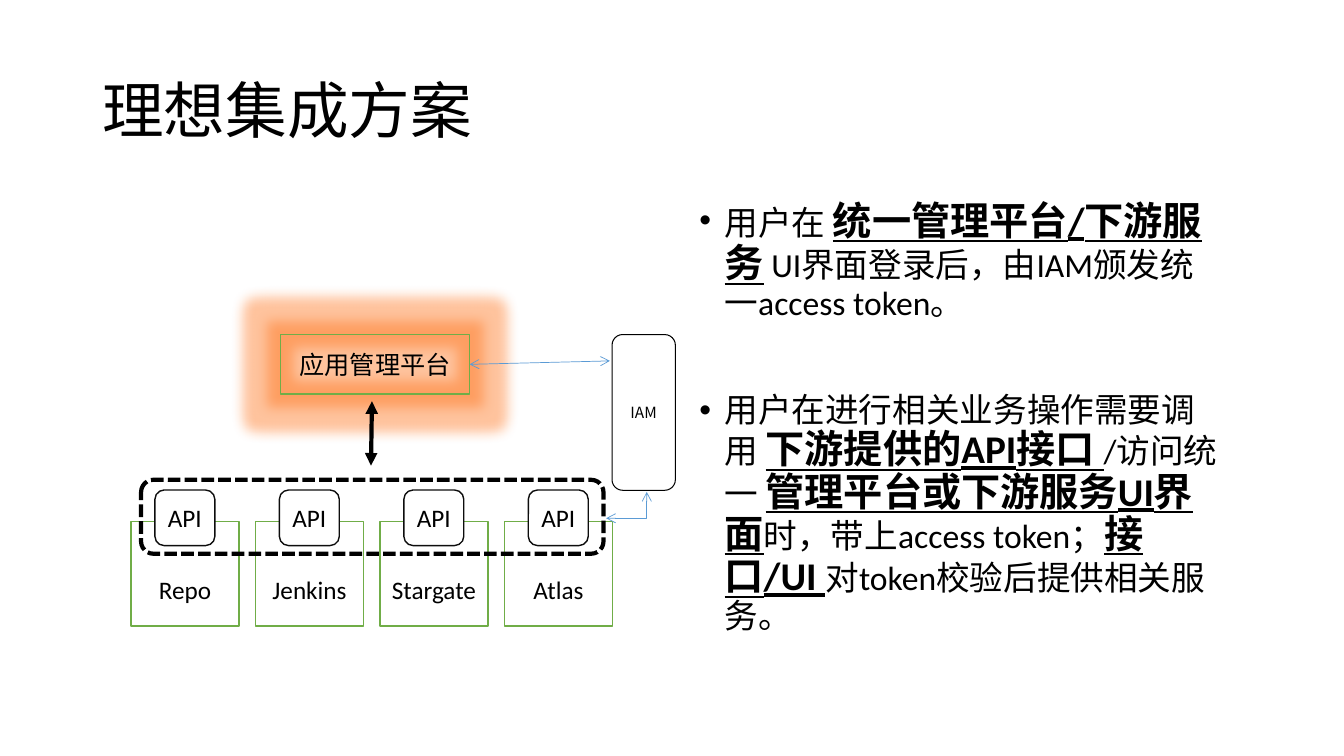
from lxml import etree
from pptx import Presentation
from pptx.dml.color import RGBColor
from pptx.enum import dml, shapes, text
from pptx.oxml import ns
from pptx.util import Pt

# Content
TITLE = "理想集成方案"
# Each bullet is a list of (text, emphasised)
BULLETS = [
    [("用户在 ", False), ("统一管理平台/下游服务", True), (" ", False),
     ("UI界面登录后，由IAM颁发统一access token。", False)],
    [("用户在进行相关业务操作需要调用 ", False), ("下游提供的API接口 ", True),
     ("/访问统一 ", False), ("管理平台或下游服务UI界面", True),
     ("时，带上access token；", False), ("接口/UI ", True),
     ("对token校验后提供相关服务。", False)],
]
SERVICES = ["Repo", "Jenkins", "Stargate", "Atlas"]
PLATFORM = "应用管理平台"

# Style
BLACK = RGBColor(0x00, 0x00, 0x00)
NEAR_BLACK = RGBColor(0x0D, 0x0D, 0x0D)
WHITE = RGBColor(0xFF, 0xFF, 0xFF)
GREEN = RGBColor(0x70, 0xAD, 0x47)
BLUE = RGBColor(0x5B, 0x9B, 0xD5)
GLOW = RGBColor(0xFF, 0x69, 0x0A)
LATIN, CJK = "Calibri", "Noto Sans CJK SC"
RECT = shapes.MSO_SHAPE.RECTANGLE
ROUND = shapes.MSO_SHAPE.ROUNDED_RECTANGLE

# Layout in points
SERVICE_LEFT, SERVICE_TOP, SERVICE_W, SERVICE_H = 93.6, 372.4, 77.2, 74.8
SERVICE_PITCH = 88.9
SERVICE_LABEL_DROP = 22
API_INDENT, API_TOP, API_W, API_H = 17.1, 350, 42.8, 39.7
BULLET_INDENT = 18
BULLET_GAP = 50.8

prs = Presentation()
prs.slide_width, prs.slide_height = Pt(960), Pt(540)
slide = prs.slides.add_slide(prs.slide_layouts[6])


def sub(parent, tag, **attrs):
    return etree.SubElement(parent, ns.qn(tag), attrs)


def add_run(paragraph, words, size, bold=False, font=LATIN):
    run = paragraph.add_run()
    run.text = words
    run.font.size, run.font.name = Pt(size), font
    run.font.bold = run.font.underline = bold
    run.font.color.rgb = BLACK
    sub(run.font._element, "a:ea", typeface=CJK)


def add_text_area(left, top, width, height, anchor):
    frame = slide.shapes.add_textbox(Pt(left), Pt(top), Pt(width), Pt(height)).text_frame
    frame.word_wrap = True
    frame.vertical_anchor = anchor
    return frame


def add_box(kind, left, top, width, height, line, weight, fill=None,
            label="", size=18, font=LATIN):
    box = slide.shapes.add_shape(kind, Pt(left), Pt(top), Pt(width), Pt(height))
    box.shadow.inherit = False
    if fill is None:
        box.fill.background()
    else:
        box.fill.solid()
        box.fill.fore_color.rgb = fill
    box.line.color.rgb = line
    box.line.width = Pt(weight)
    if label:
        box.text_frame.vertical_anchor = text.MSO_ANCHOR.MIDDLE
        paragraph = box.text_frame.paragraphs[0]
        paragraph.alignment = text.PP_ALIGN.CENTER
        add_run(paragraph, label, size, font=font)
    return box


def add_two_way(kind, start, end, color, weight, arrow):
    link = slide.shapes.add_connector(kind, *(Pt(v) for v in start + end))
    link.line.color.rgb = color
    link.line.width = Pt(weight)
    outline = link.line._get_or_add_ln()
    for side in ("a:headEnd", "a:tailEnd"):
        sub(outline, side, type=arrow)
    sub(link._element.spPr, "a:effectLst")
    return link


# Title
title = add_text_area(66, 28.8, 828, 104.4, text.MSO_ANCHOR.MIDDLE).paragraphs[0]
title.line_spacing = 0.9
add_run(title, TITLE, 44)

# Bullets
body = add_text_area(492.5, 140.4, 386, 347, text.MSO_ANCHOR.TOP)
for i, parts in enumerate(BULLETS):
    paragraph = body.add_paragraph() if i else body.paragraphs[0]
    paragraph.line_spacing = 0.9
    paragraph.space_before = Pt(BULLET_GAP if i else 0)
    props = paragraph._p.get_or_add_pPr()
    props.set("marL", str(Pt(BULLET_INDENT)))
    props.set("indent", str(-Pt(BULLET_INDENT)))
    sub(props, "a:buFont", typeface="Arial")
    sub(props, "a:buChar", char="•")
    for words, strong in parts:
        add_run(paragraph, words, 28 if strong else 24, strong)

# Downstream services, each with its API on the top edge
for i, service in enumerate(SERVICES):
    left = SERVICE_LEFT + i * SERVICE_PITCH
    module = add_box(RECT, left, SERVICE_TOP, SERVICE_W, SERVICE_H, GREEN, 1, WHITE, service)
    module.text_frame.margin_top = Pt(3.6 + SERVICE_LABEL_DROP)
    add_box(ROUND, left + API_INDENT, API_TOP, API_W, API_H, NEAR_BLACK, 1, WHITE, "API")

# Management platform with its glow
platform = add_box(RECT, 200.2, 238.9, 135.3, 42.7, GREEN, 1, label=PLATFORM)
effects = platform._element.spPr.find(ns.qn("a:effectLst"))
glow = sub(effects, "a:glow", rad=str(Pt(18)))
sub(sub(glow, "a:srgbClr", val=str(GLOW)), "a:alpha", val="40000")

# IAM and the dashed frame around the APIs
add_box(ROUND, 437.2, 239, 45.2, 111.2, BLACK, 0.75, label="IAM", size=11, font=CJK)
api_frame = add_box(ROUND, 100.8, 342.7, 330.3, 52.8, BLACK, 3)
api_frame.line.dash_style = dml.MSO_LINE.SQUARE_DOT

# Two-way links
STRAIGHT, ELBOW = shapes.MSO_CONNECTOR.STRAIGHT, shapes.MSO_CONNECTOR.ELBOW
add_two_way(STRAIGHT, (265.7, 286.6), (265, 332.6), BLACK, 3, "triangle")
api_to_iam = add_two_way(ELBOW, (433, 370.2), (462, 351.4), BLUE, 0.5, "arrow")
api_to_iam._element.spPr.find(ns.qn("a:prstGeom")).set("prst", "bentConnector2")
platform_to_iam = add_two_way(STRAIGHT, (335.5, 260.2), (435.6, 257.8), BLUE, 0.5, "arrow")
platform_to_iam.begin_connect(platform, 3)

prs.save("out.pptx")
